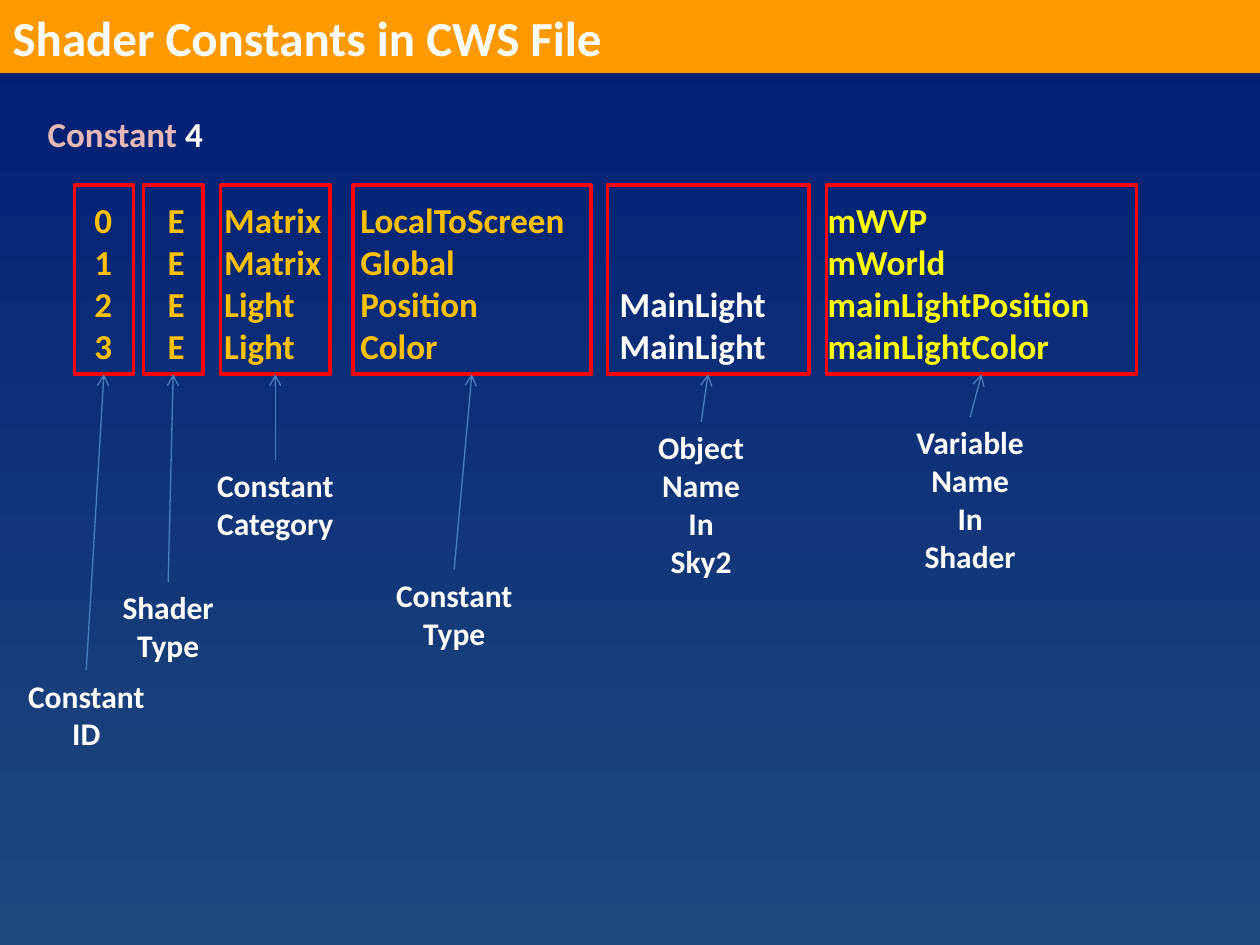
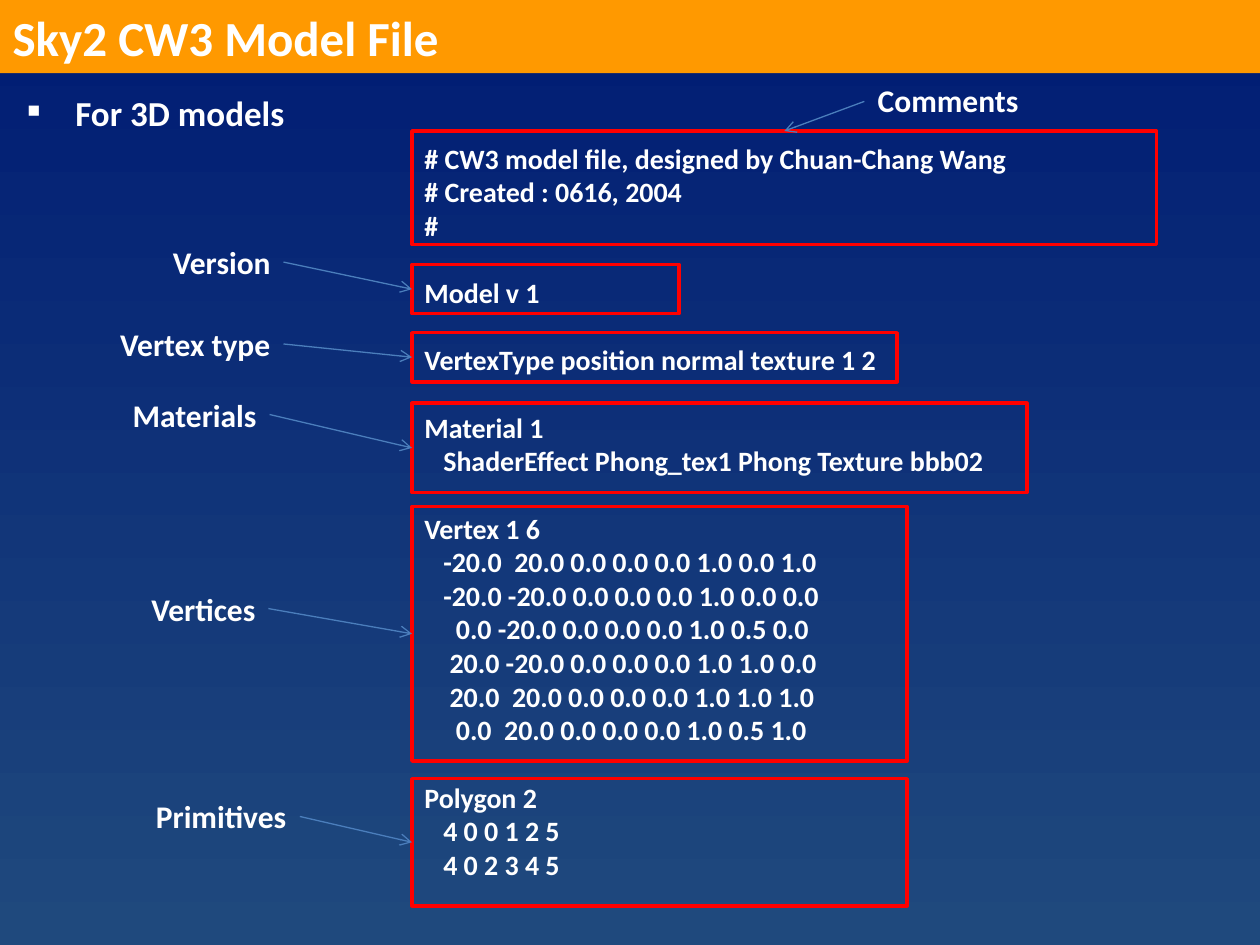
from lxml import etree
from pptx import Presentation
from pptx.dml.color import RGBColor
from pptx.enum import shapes, text
from pptx.oxml import ns
from pptx.util import Inches, Pt

WHITE, GOLD, YELLOW, PINK = "FFFFFF", "FFC000", "FFFF00", "E6B9B8"
BAND, RED, BLUE = "FF9900", "FF0000", "4B7EBC"
TOP, DEEP = "001C74", "1F497D"
FONT = "Calibri"
LEFT, MID = text.PP_ALIGN.LEFT, text.PP_ALIGN.CENTER

TITLES = ["Shader Constants in CWS File", "Sky2 CW3 Model File"]

ROW_TOP, ROW_TALL = 1.47, 1.5
FIELDS = [
    (0.59, 0.47, 0.16, GOLD, ["0", "1", "2", "3"],
     ["Constant", "ID"], (0.12, 5.32, 1.13, 0.71)),
    (1.14, 0.47, 0.19, GOLD, ["E"] * 4,
     ["Shader", "Type"], (0.87, 4.62, 0.93, 0.71)),
    (1.75, 0.87, 0.03, GOLD, ["Matrix", "Matrix", "Light", "Light"],
     ["Constant", "Category"], (1.62, 3.65, 1.13, 0.71)),
    (2.8, 1.89, 0.06, GOLD, ["LocalToScreen", "Global", "Position", "Color"],
     ["Constant", "Type"], (2.62, 4.52, 1.97, 0.71)),
    (4.82, 1.6, 0.1, WHITE, ["MainLight", "MainLight"],
     ["Object", "Name", "In", "Sky2"], (4.73, 3.35, 1.67, 1.31)),
    (6.56, 2.46, 0.01, YELLOW,
     ["mWVP", "mWorld", "mainLightPosition", "mainLightColor"],
     ["Variable", "Name", "In", "Shader"], (6.42, 3.31, 2.56, 1.31)),
]

CODE_LEFT, CODE_TOP, LINE, SPACE = 3.27, 1.12, 0.267, 0.05
BLOCKS = [
    (0, 1.04, 5.91, 0.9, "Comments", (6.86, 0.59, 1.33, 0.43), [
        "# CW3 model file, designed by Chuan-Chang Wang",
        "# Created : 0616, 2004",
        "#"]),
    (4, 2.1, 2.12, 0.39, "Version", (1.27, 1.88, 0.98, 0.4), ["Model v 1"]),
    (6, 2.64, 3.85, 0.39, "Vertex type", (0.85, 2.53, 1.4, 0.4),
     ["VertexType position normal texture 1 2"]),
    (8, 3.2, 4.88, 0.71, "Materials", (0.95, 3.09, 1.19, 0.4), [
        "Material 1",
        "   ShaderEffect Phong_tex1 Phong Texture bbb02"]),
    (11, 4.02, 3.93, 2.02, "Vertices", (1.1, 4.63, 1.03, 0.4), [
        "Vertex 1 6",
        "   -20.0  20.0 0.0 0.0 0.0 1.0 0.0 1.0",
        "   -20.0 -20.0 0.0 0.0 0.0 1.0 0.0 0.0",
        "     0.0 -20.0 0.0 0.0 0.0 1.0 0.5 0.0",
        "    20.0 -20.0 0.0 0.0 0.0 1.0 1.0 0.0",
        "    20.0  20.0 0.0 0.0 0.0 1.0 1.0 1.0",
        "     0.0  20.0 0.0 0.0 0.0 1.0 0.5 1.0"]),
    (19, 6.18, 3.93, 1.01, "Primitives", (1.13, 6.28, 1.25, 0.4), [
        "Polygon 2",
        "   4 0 0 1 2 5",
        "   4 0 2 3 4 5"]),
]


def hue(code):
    return RGBColor.from_string(code)


def style(run, size, color):
    run.font.name, run.font.size, run.font.bold = FONT, Pt(size), True
    run.font.color.rgb = hue(color)


def write(frame, lines, size, color=WHITE, align=LEFT):
    frame.word_wrap = False
    frame.text = "\n".join(line.lstrip() for line in lines)
    for para, line in zip(frame.paragraphs, lines):
        para.alignment = align
        depth = len(line) - len(line.lstrip())
        if depth:
            para._p.get_or_add_pPr().set("marL", str(Inches(depth * SPACE)))
        for run in para.runs:
            style(run, size, color)


def label(home, spot, lines, size=18, align=MID):
    note = home.shapes.add_textbox(*map(Inches, spot))
    write(note.text_frame, lines, size, align=align)
    return note


def frame(home, spot, lines, size, color, left, top, anchor):
    box = home.shapes.add_shape(shapes.MSO_SHAPE.RECTANGLE, *map(Inches, spot))
    box.shadow.inherit = False
    box.fill.background()
    box.line.color.rgb, box.line.width = hue(RED), Pt(2)
    body = box.text_frame
    write(body, lines, size, color)
    body.vertical_anchor = anchor
    body.margin_left, body.margin_top = Inches(left), Inches(top)
    body.margin_right, body.margin_bottom = 0, Inches(0.06)


def arrow(home, start, end):
    link = home.shapes.add_connector(
        shapes.MSO_CONNECTOR.STRAIGHT, *map(Inches, start + end))
    link.line.color.rgb, link.line.width = hue(BLUE), Pt(0.75)
    etree.SubElement(link.line._get_or_add_ln(), ns.qn("a:tailEnd"), type="arrow")
    etree.SubElement(link._element.spPr, ns.qn("a:effectLst"))


def start(deck, name):
    slide = deck.slides.add_slide(deck.slide_layouts[5])
    title = slide.shapes.title
    title.left, title.top, title.width, title.height = map(Inches, (0, 0, 10, 0.58))
    title.fill.solid()
    title.fill.fore_color.rgb = hue(BAND)
    write(title.text_frame, [name], 28)
    title.text_frame.vertical_anchor = text.MSO_ANCHOR.MIDDLE
    return slide


def fields(slide):
    head = label(slide, (0.28, 0.84, 1.6, 0.43), ["Constant "], 20, LEFT)
    para = head.text_frame.paragraphs[0]
    para.runs[0].font.color.rgb = hue(PINK)
    count = para.add_run()
    count.text = "4"
    style(count, 20, WHITE)
    for left, wide, inset, color, cells, words, spot in FIELDS:
        group = slide.shapes.add_group_shape()
        frame(group, (left, ROW_TOP, wide, ROW_TALL), cells, 20, color,
              inset, 0, text.MSO_ANCHOR.BOTTOM)
        label(group, spot, words)
        x, y, w, h = spot
        arrow(group, (x + w / 2, y), (left + wide / 2, ROW_TOP + ROW_TALL))


def model(slide):
    point = label(slide, (0.12, 0.68, 3, 0.39), ["For 3D models"], 20, LEFT)
    props = point.text_frame.paragraphs[0]._p.get_or_add_pPr()
    props.set("marL", str(Inches(0.38)))
    props.set("indent", str(Inches(-0.38)))
    etree.SubElement(props, ns.qn("a:buSzPct"), val="50000")
    etree.SubElement(props, ns.qn("a:buChar"), char="■")
    for row, top, wide, tall, word, spot, lines in BLOCKS:
        group = slide.shapes.add_group_shape()
        frame(group, (CODE_LEFT, top, wide, tall), lines, 16, WHITE,
              0.1, CODE_TOP + row * LINE - top, text.MSO_ANCHOR.TOP)
        label(group, spot, [word])
        x, y, w, h = spot
        if x > CODE_LEFT:
            arrow(group, (x, y + h / 2), (CODE_LEFT + wide / 2, top))
        else:
            arrow(group, (x + w, y + h / 2), (CODE_LEFT, top + tall / 2))


def main():
    deck = Presentation()
    deck.slide_width, deck.slide_height = Inches(10), Inches(7.5)
    fill = deck.slide_master.background.fill
    fill.gradient()
    fill.gradient_angle = 270
    for stop, code in zip(fill.gradient_stops, (TOP, DEEP)):
        stop.color.rgb = hue(code)
    for name, draw in zip(TITLES, (fields, model)):
        draw(start(deck, name))
    deck.save("out.pptx")


if __name__ == "__main__":
    main()
